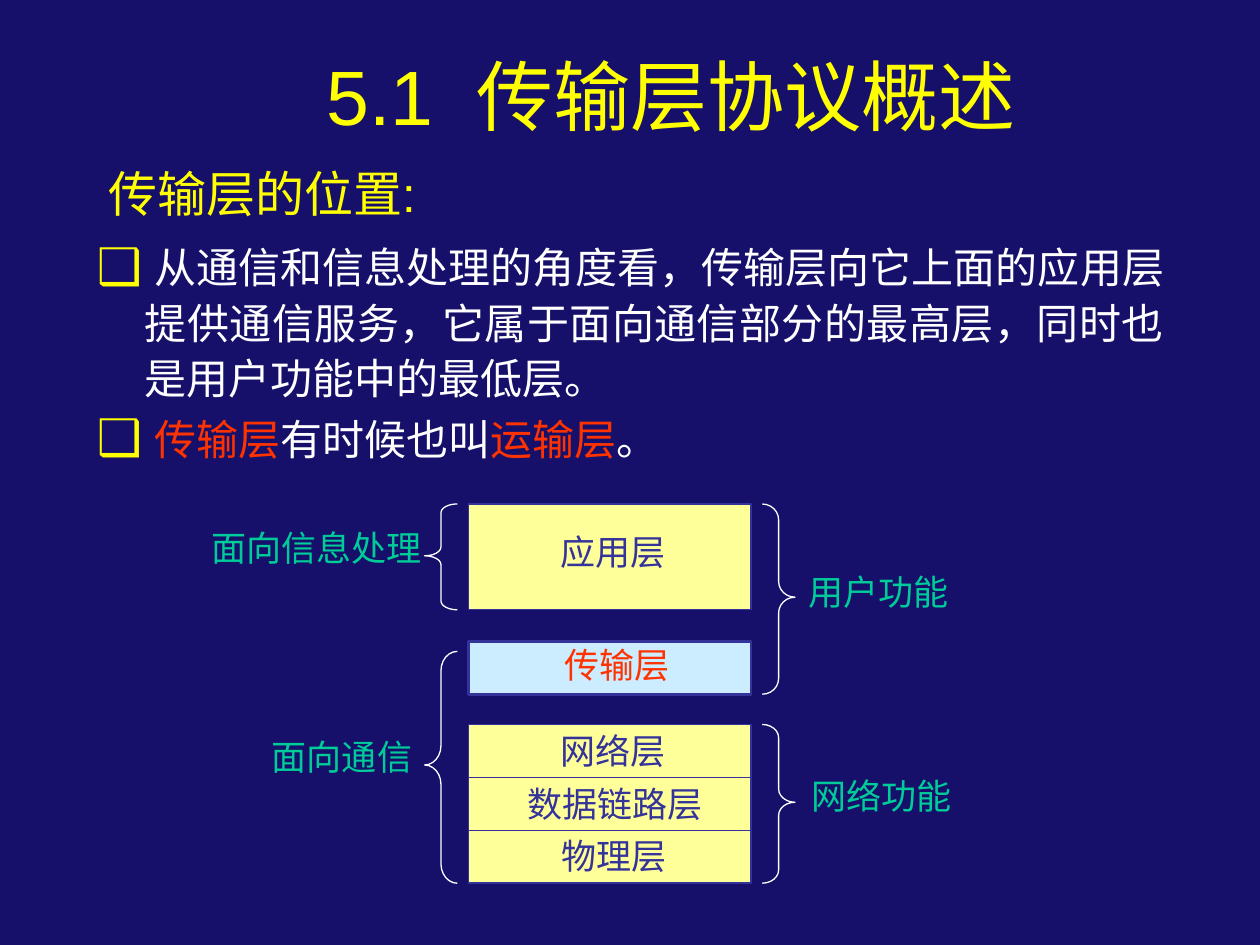
from typing import NamedTuple

import lxml.etree
import pptx
import pptx.dml.color
import pptx.enum.shapes
import pptx.enum.text
import pptx.oxml.ns
import pptx.util

Inches = pptx.util.Inches
Pt = pptx.util.Pt
Shape = pptx.enum.shapes.MSO_SHAPE
Align = pptx.enum.text.PP_ALIGN
qn = pptx.oxml.ns.qn

COLORS = {
    "background": "16106B", "title": "FFFF01", "bullet": "FFFF00",
    "body": "FFFFFF", "accent": "FF3300", "border": "333399",
    "layer": "FFFF99", "transport": "CCECFF", "label": "00CC99",
}
STACK_LEFT, STACK_WIDTH, ROW_HEIGHT = 3.72, 2.24, 0.42
LOWER_TOP, LOWER_ROWS = 5.75, 3
BRACE_WIDTH = 0.26


class Layer(NamedTuple):
    top: float
    rows: int
    fill: str
    line_width: float


class Label(NamedTuple):
    text: str
    left: float
    top: float
    color: str


class Brace(NamedTuple):
    shape: Shape
    left: float
    top: float
    height: float


LAYERS = [
    Layer(4, 2, "layer", 0.75),
    Layer(LOWER_TOP, LOWER_ROWS, "layer", 0.75),
    Layer(5.09, 1, "transport", 1.5),
]
LABELS = [
    Label("物理层", 4.36, 6.57, "border"),
    Label("网络层", 4.35, 5.74, "border"),
    Label("传输层", 4.38, 5.06, "accent"),
    Label("应用层", 4.35, 4.16, "border"),
    Label("数据链路层", 4.09, 6.16, "border"),
    Label("面向信息处理", 1.58, 4.13, "label"),
    Label("面向通信", 2.06, 5.79, "label"),
    Label("用户功能", 6.32, 4.48, "label"),
    Label("网络功能", 6.34, 6.1, "label"),
]
BRACES = [
    Brace(Shape.RIGHT_BRACE, 6.05, 4, 1.51),
    Brace(Shape.RIGHT_BRACE, 6.05, 5.75, 1.26),
    Brace(Shape.LEFT_BRACE, 3.37, 4, 0.84),
    Brace(Shape.LEFT_BRACE, 3.37, 5.17, 1.84),
]
BULLETS = [
    [(" 从通信和信息处理的角度看，传输层向它上面的应用层提供通信服务，"
      "它属于面向通信部分的最高层，同时也是用户功能中的最低层。", "body")],
    [(" ", "body"), ("传输层", "accent"), ("有时候也叫", "body"),
     ("运输层", "accent"), ("。", "body")],
]


def rgb(name: str) -> pptx.dml.color.RGBColor:
    return pptx.dml.color.RGBColor.from_string(COLORS[name])


def add_run(para, text: str, size: float, color: str):
    span = para.add_run()
    span.text = text
    span.font.size = Pt(size)
    span.font.name = "Arial"
    span.font.color.rgb = rgb(color)
    return span


def add_box(page, left: float, top: float, width: float, height: float,
            wrap: bool = True):
    box = page.shapes.add_textbox(
        Inches(left), Inches(top), Inches(width), Inches(height))
    box.text_frame.word_wrap = wrap
    return box.text_frame


def add_bullet(para) -> None:
    properties = para._p.get_or_add_pPr()
    properties.set("marL", str(Inches(0.38)))
    properties.set("indent", str(Inches(-0.38)))
    color = lxml.etree.SubElement(properties, qn("a:buClr"))
    lxml.etree.SubElement(color, qn("a:srgbClr"), val=COLORS["bullet"])
    lxml.etree.SubElement(properties, qn("a:buSzPct"), val="120000")
    lxml.etree.SubElement(properties, qn("a:buFont"), typeface="Arial")
    lxml.etree.SubElement(properties, qn("a:buChar"), char="❑")


def add_layer(page, layer: Layer) -> None:
    block = page.shapes.add_shape(
        Shape.RECTANGLE, Inches(STACK_LEFT), Inches(layer.top),
        Inches(STACK_WIDTH), Inches(layer.rows * ROW_HEIGHT))
    block.shadow.inherit = False
    block.fill.solid()
    block.fill.fore_color.rgb = rgb(layer.fill)
    block.line.color.rgb = rgb("border")
    block.line.width = Pt(layer.line_width)


def add_divider(page, y: float) -> None:
    divider = page.shapes.add_connector(
        pptx.enum.shapes.MSO_CONNECTOR.STRAIGHT, Inches(STACK_LEFT), Inches(y),
        Inches(STACK_LEFT + STACK_WIDTH), Inches(y))
    divider.line.color.rgb = rgb("border")
    divider.line.width = Pt(0.75)
    lxml.etree.SubElement(divider._element.spPr, qn("a:effectLst"))


def add_label(page, label: Label) -> None:
    width = 0.2 + len(label.text) * 20 / 72
    frame = add_box(page, label.left, label.top, width, 0.44, wrap=False)
    frame.auto_size = pptx.enum.text.MSO_AUTO_SIZE.SHAPE_TO_FIT_TEXT
    add_run(frame.paragraphs[0], label.text, 20, label.color)


def add_brace(page, brace: Brace) -> None:
    shape = page.shapes.add_shape(
        brace.shape, Inches(brace.left), Inches(brace.top),
        Inches(BRACE_WIDTH), Inches(brace.height))
    shape.shadow.inherit = False
    shape.fill.background()
    shape.line.color.rgb = rgb("body")
    shape.line.width = Pt(0.75)
    # Each curl takes a twelfth of the height; the tip is just above the middle
    shape.adjustments[0] = brace.height / 12 / BRACE_WIDTH
    shape.adjustments[1] = 0.49


def main() -> None:
    deck = pptx.Presentation()
    deck.slide_width, deck.slide_height = Inches(10), Inches(7.5)
    page = deck.slides.add_slide(deck.slide_layouts[6])
    page.background.fill.solid()
    page.background.fill.fore_color.rgb = rgb("background")

    # Title, with a widened space after the section number
    frame = add_box(page, 1.58, 0.33, 7.5, 0.84)
    frame.vertical_anchor = pptx.enum.text.MSO_ANCHOR.MIDDLE
    para = frame.paragraphs[0]
    para.alignment = Align.CENTER
    add_run(para, "5.1", 44, "title")
    gap = add_run(para, " ", 44, "title")
    gap.font._element.set("spc", "1220")
    add_run(para, "传输层协议概述", 44, "title")

    # Subtitle
    para = add_box(page, 0.58, 1.25, 3, 0.57).paragraphs[0]
    para.alignment = Align.CENTER
    add_run(para, "传输层的位置:", 28, "title")

    # Bulleted text
    frame = add_box(page, 0.67, 1.83, 8.67, 1.92)
    for index, runs in enumerate(BULLETS):
        para = frame.add_paragraph() if index else frame.paragraphs[0]
        para.alignment = Align.JUSTIFY
        para.line_spacing = 1.1
        if index:
            para.space_before = Pt(3)
        add_bullet(para)
        for text, color in runs:
            add_run(para, text, 24, color)

    # Layer stack with its braces and labels
    for layer in LAYERS:
        add_layer(page, layer)
    for row in range(1, LOWER_ROWS):
        add_divider(page, LOWER_TOP + row * ROW_HEIGHT)
    for brace in BRACES:
        add_brace(page, brace)
    for label in LABELS:
        add_label(page, label)

    deck.save("out.pptx")


if __name__ == "__main__":
    main()
